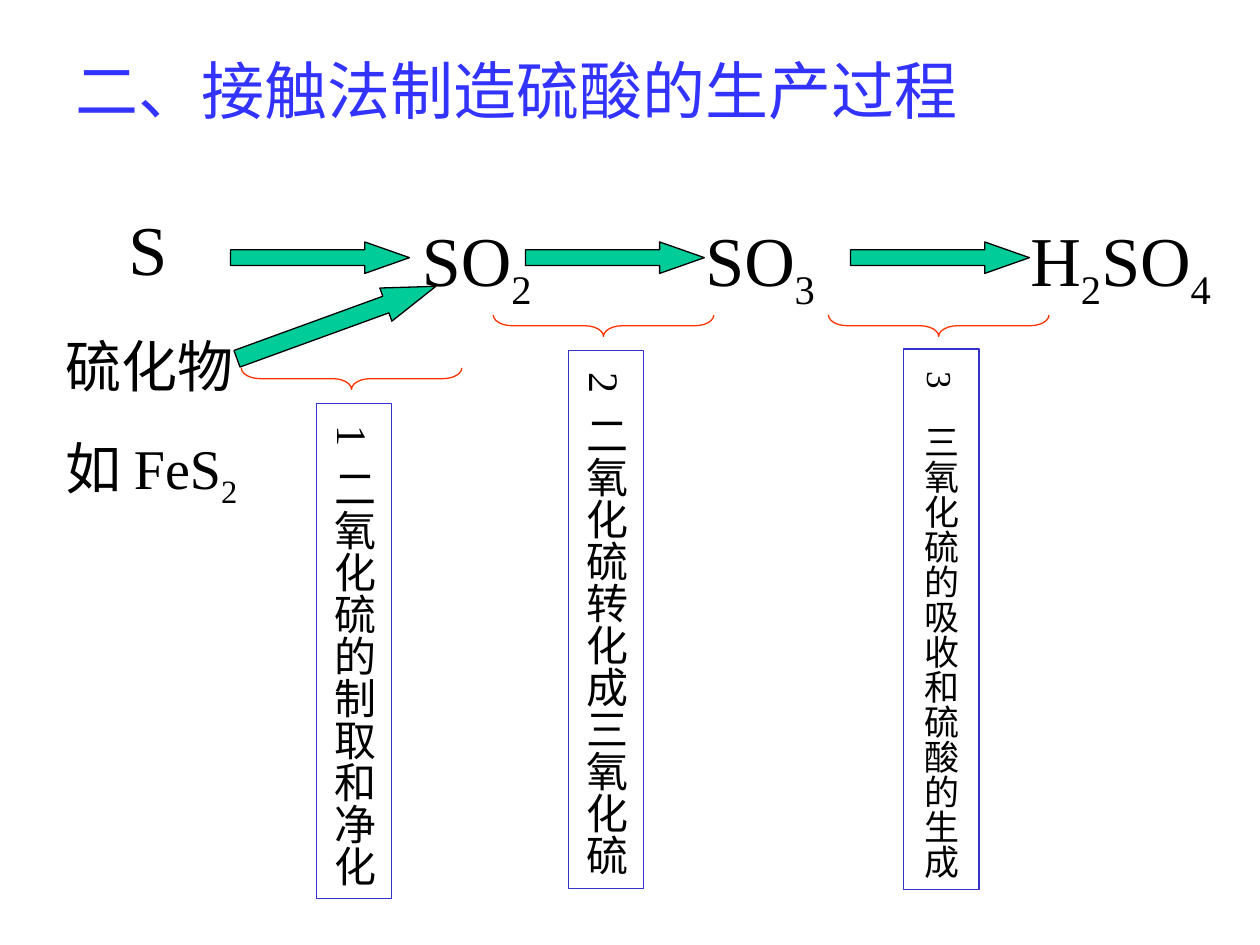
from pptx import Presentation
from pptx.dml.color import RGBColor
from pptx.enum.shapes import MSO_SHAPE
from pptx.enum.text import MSO_ANCHOR, PP_ALIGN
from pptx.util import Inches, Pt

RECT = MSO_SHAPE.RECTANGLE
RIGHT_ARROW = MSO_SHAPE.RIGHT_ARROW
UP_ARROW = MSO_SHAPE.UP_ARROW
LEFT_BRACE = MSO_SHAPE.LEFT_BRACE
MIDDLE = MSO_ANCHOR.MIDDLE
LEFT, CENTER = PP_ALIGN.LEFT, PP_ALIGN.CENTER

FONT = "Times New Roman"
COLORS = {"title": "3333FF", "text": "000000", "arrow": "00CC99",
          "brace": "FF3300", "frame": "3333CC"}


def color(name):
    return RGBColor.from_string(COLORS[name])


def set_font(p, size, name="text"):
    p.font.name = FONT
    p.font.size = Pt(size)
    p.font.color.rgb = color(name)


def add_outlined(slide, kind, box, line, fill=None, rotation=0, adjustments=()):
    sp = slide.shapes.add_shape(kind, *map(Inches, box))
    sp.shadow.inherit = False
    sp.rotation = rotation
    for i, value in enumerate(adjustments):
        sp.adjustments[i] = value
    if fill:
        sp.fill.solid()
        sp.fill.fore_color.rgb = color(fill)
    else:
        sp.fill.background()
    sp.line.color.rgb = color(line)
    sp.line.width = Pt(0.75)
    return sp


def add_title(slide, box, text):
    sp = slide.shapes.title
    sp.left, sp.top, sp.width, sp.height = map(Inches, box)
    tf = sp.text_frame
    tf.vertical_anchor = MIDDLE
    p = tf.paragraphs[0]
    p.text = text
    p.alignment = LEFT
    set_font(p, 36, "title")


def add_formula(slide, box, lines, size=40):
    """Each line is a list of text parts; digits are set as subscripts."""
    tf = slide.shapes.add_textbox(*map(Inches, box)).text_frame
    tf.word_wrap = True
    for i, parts in enumerate(lines):
        p = tf.add_paragraph() if i else tf.paragraphs[0]
        if i:
            p.space_before = Pt(size * 0.625)
        set_font(p, size)
        for part in parts:
            r = p.add_run()
            r.text = part
            if part.isdigit():
                r.font._element.set("baseline", "-25000")


def add_stage(slide, box, brace_top, number, text, size, gap):
    """A brace above a framed vertical caption, both on the same centre line."""
    left, top, width, height = box
    # The brace is drawn upright, then turned to point down
    thick, span = 0.17, 1.75
    brace_box = (left + width / 2 - 0.02 - thick / 2,
                 brace_top + thick / 2 - span / 2, thick, span)
    add_outlined(slide, LEFT_BRACE, brace_box, "brace",
                 rotation=270, adjustments=(0.88, 0.5))

    sp = add_outlined(slide, RECT, box, "frame")
    tf = sp.text_frame
    tf._txBody.bodyPr.set("vert", "eaVert")
    tf.word_wrap = False
    tf.vertical_anchor = MIDDLE
    tf.margin_left = tf.margin_right = Inches(0.05)
    tf.margin_top, tf.margin_bottom = Inches(0.18), Inches(0.1)
    p = tf.paragraphs[0]
    p.alignment = CENTER
    set_font(p, size)
    for part in (number, " ", text):
        r = p.add_run()
        r.text = part
        if part == " ":
            # Widen the space to the gap, in hundredths of a point
            r.font._element.set("spc", str(gap * 100))


def add_reaction(slide, left, top):
    """The chain of substances and the arrows between them."""
    add_formula(slide, (left + 5.08, top + 0.09, 1.17, 0.86), [["SO", "3"]])
    add_formula(slide, (left + 7.66, top + 0.09, 1.92, 0.86),
                [["H", "2", "SO", "4"]])
    add_formula(slide, (left + 2.83, top + 0.09, 1.25, 0.86), [["SO", "2"]])
    add_formula(slide, (left + 0.5, top, 0.67, 0.77), [["S"]])
    add_formula(slide, (left, top + 1, 1.75, 1.52),
                [["硫化物"], ["如 FeS", "2"]], 32)
    for x in (1.41, 3.75, 6.33):
        add_outlined(slide, RIGHT_ARROW, (left + x, top + 0.34, 1.42, 0.25),
                     "text", "arrow", adjustments=(0.5, 1.42))
    add_outlined(slide, UP_ARROW, (left + 2.11, top + 0.14, 0.28, 1.68),
                 "text", "arrow", 70, (0.5, 1.51))


def main():
    prs = Presentation()
    prs.slide_width, prs.slide_height = Inches(10), Inches(7.5)
    slide = prs.slides.add_slide(prs.slide_layouts[5])

    add_title(slide, (0.5, 0.42, 8.83, 0.58), "二、接触法制造硫酸的生产过程")
    add_reaction(slide, 0.42, 1.58)

    # Three production stages
    stages = [
        ((2.51, 3.2, 0.6, 3.93), 2.92, "1", "二氧化硫的制取和净化", 24, 6),
        ((4.51, 2.78, 0.6, 4.27), 2.5, "2", "二氧化硫转化成三氧化硫", 24, 6),
        ((7.17, 2.77, 0.6, 4.29), 2.5, "3", "三氧化硫的吸收和硫酸的生成", 20, 15),
    ]
    for stage in stages:
        add_stage(slide, *stage)

    prs.save("out.pptx")


if __name__ == "__main__":
    main()
